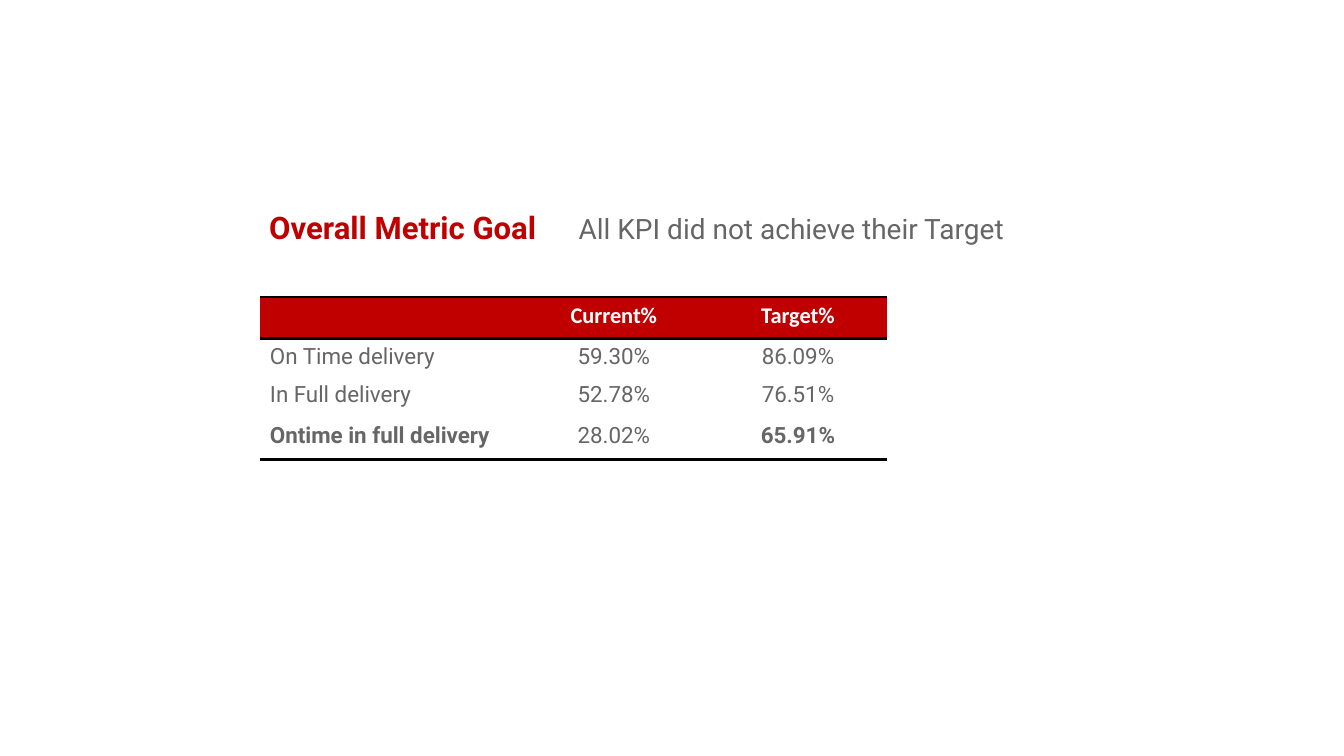
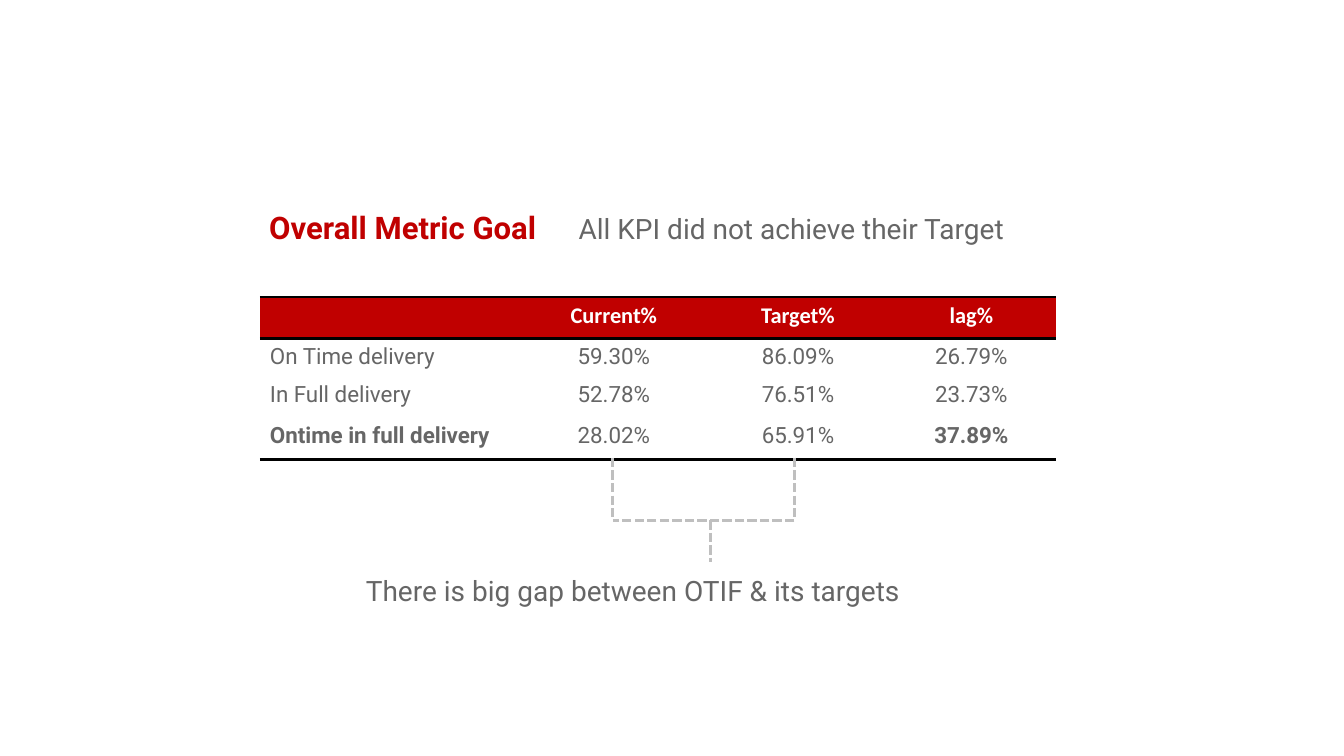
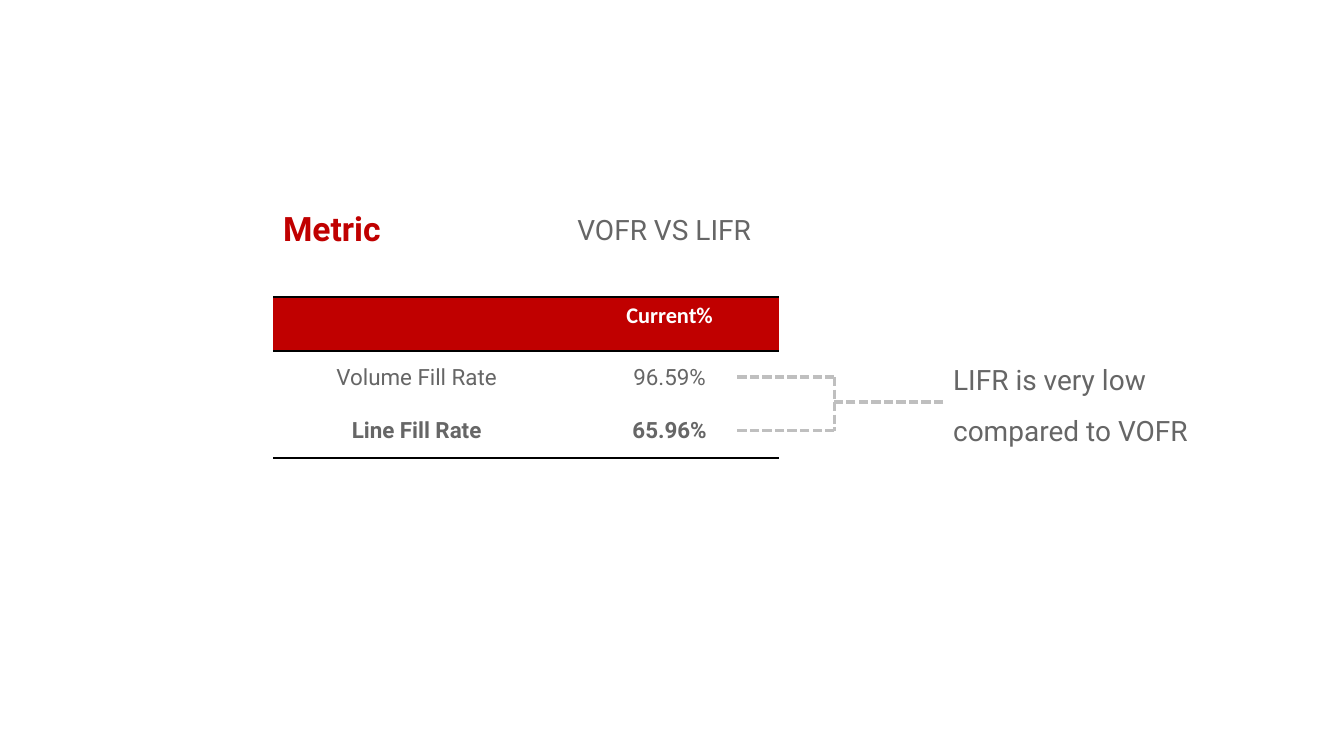
"""Build three slides that compare delivery metrics with their targets."""
from dataclasses import dataclass
from typing import Any

from lxml import etree
from pptx import Presentation
from pptx.dml.color import RGBColor
from pptx.enum.dml import MSO_LINE
from pptx.enum.shapes import MSO_CONNECTOR
from pptx.enum.text import MSO_ANCHOR, MSO_AUTO_SIZE, PP_ALIGN
from pptx.oxml.ns import qn
from pptx.util import Cm, Pt

LEFT, CENTER = PP_ALIGN.LEFT, PP_ALIGN.CENTER
TOP, MIDDLE = MSO_ANCHOR.TOP, MSO_ANCHOR.MIDDLE
NO_AUTOFIT = MSO_AUTO_SIZE.NONE
STRAIGHT = MSO_CONNECTOR.STRAIGHT
SHORT_DASH = MSO_LINE.SQUARE_DOT
TITLE_ONLY = 5
PLAIN_TABLE_STYLE = "{2D5ABB26-0587-4C30-8999-92F81FD0307C}"


@dataclass(frozen=True)
class Theme:
    """Colours, fonts and sizes shared by the slides."""
    accent: str = "C00000"
    body: str = "666666"
    header_text: str = "FFFFFF"
    rule: str = "000000"
    bracket: str = "BFBFBF"
    font: str = "Roboto"
    header_font: str = "Calibri"
    title_size: float = 22.2
    large_title_size: float = 24
    text_size: float = 20
    table_size: float = 16
    rule_width: float = 2
    bracket_width: float = 2.25


@dataclass(frozen=True)
class Label:
    """A piece of text with its box in centimetres."""
    text: str
    box: tuple[float, float, float, float]
    size: float
    line_spacing: float = 0.9


@dataclass(frozen=True)
class MetricTable:
    """A metric table with its grid in centimetres."""
    left: float
    columns: tuple[float, ...]
    heights: tuple[float, ...]
    rows: tuple[tuple[str, ...], ...]
    bold: tuple[str, ...]
    name_align: PP_ALIGN = LEFT
    body_anchor: MSO_ANCHOR = TOP


@dataclass(frozen=True)
class Segment:
    """A dashed bracket line in centimetres."""
    start_x: float
    start_y: float
    end_x: float
    end_y: float


@dataclass(frozen=True)
class MetricSlide:
    """Everything that one slide shows."""
    title: Label
    notes: tuple[Label, ...]
    table: MetricTable
    bracket: tuple[Segment, ...] = ()


THEME = Theme()
TABLE_TOP = 7.49


def apply(target: Any, values: dict[str, Any]) -> None:
    """Set each named attribute on the target."""
    for name, value in values.items():
        setattr(target, name, value)


def format_font(font: Any, name: str, size: float, color: str, bold: bool) -> None:
    """Give a font its face, size, weight and colour."""
    apply(font, {"name": name, "size": Pt(size), "bold": bold})
    font.color.rgb = RGBColor.from_string(color)


def write_label(shape: Any, label: Label, color: str, bold: bool) -> None:
    """Write a label into a title or a text box."""
    left, top, width, height = label.box
    apply(shape, {"left": Cm(left), "top": Cm(top),
                  "width": Cm(width), "height": Cm(height)})
    frame = shape.text_frame
    apply(frame, {"text": label.text, "word_wrap": True,
                  "auto_size": NO_AUTOFIT, "vertical_anchor": TOP})
    paragraph = frame.paragraphs[0]
    apply(paragraph, {"alignment": LEFT, "line_spacing": label.line_spacing})
    format_font(paragraph.runs[0].font, THEME.font, label.size, color, bold)


def add_rule(cell: Any, tag: str) -> None:
    """Draw one horizontal border of a cell."""
    line = etree.Element(qn(tag), w=str(Pt(THEME.rule_width)))
    fill = etree.SubElement(line, qn("a:solidFill"))
    etree.SubElement(fill, qn("a:srgbClr"), val=THEME.rule)
    cell._tc.get_or_add_tcPr().insert(0, line)


def draw_cell(cell: Any, metric: MetricTable, row: int, column: int) -> None:
    """Fill, write and rule one table cell."""
    is_header = row == 0
    text = metric.rows[row][column]
    cell.vertical_anchor = TOP if is_header else metric.body_anchor
    if is_header:
        cell.fill.solid()
        cell.fill.fore_color.rgb = RGBColor.from_string(THEME.accent)
    else:
        cell.fill.background()
    if text:
        cell.text = text
        paragraph = cell.text_frame.paragraphs[0]
        paragraph.alignment = CENTER if column else metric.name_align
        font_name = THEME.header_font if is_header else THEME.font
        color = THEME.header_text if is_header else THEME.body
        format_font(paragraph.runs[0].font, font_name, THEME.table_size, color,
                    is_header or text in metric.bold)
    if is_header or row == len(metric.rows) - 1:
        add_rule(cell, "a:lnB")
    if is_header:
        add_rule(cell, "a:lnT")


def draw_table(slide: Any, metric: MetricTable) -> None:
    """Add the metric table to a slide."""
    table = slide.shapes.add_table(
        len(metric.rows), len(metric.columns), Cm(metric.left), Cm(TABLE_TOP),
        Cm(sum(metric.columns)), Cm(sum(metric.heights))).table
    apply(table, {"first_row": False, "horz_banding": False})
    table._tbl.tblPr.find(qn("a:tableStyleId")).text = PLAIN_TABLE_STYLE
    for column, width in zip(table.columns, metric.columns):
        column.width = Cm(width)
    for row, height in zip(table.rows, metric.heights):
        row.height = Cm(height)
    for row in range(len(metric.rows)):
        for column in range(len(metric.columns)):
            draw_cell(table.cell(row, column), metric, row, column)


def draw_segment(slide: Any, segment: Segment) -> None:
    """Add one dashed line of a bracket."""
    connector = slide.shapes.add_connector(
        STRAIGHT, Cm(segment.start_x), Cm(segment.start_y),
        Cm(segment.end_x), Cm(segment.end_y))
    connector.line.color.rgb = RGBColor.from_string(THEME.bracket)
    apply(connector.line, {"width": Pt(THEME.bracket_width),
                           "dash_style": SHORT_DASH})
    etree.SubElement(connector._element.spPr, qn("a:effectLst"))


def draw_slide(presentation: Any, content: MetricSlide) -> None:
    """Add one slide with its title, table, notes and bracket."""
    slide = presentation.slides.add_slide(presentation.slide_layouts[TITLE_ONLY])
    write_label(slide.shapes.title, content.title, THEME.accent, True)
    draw_table(slide, content.table)
    for label in content.notes:
        box = slide.shapes.add_textbox(*(Cm(length) for length in label.box))
        write_label(box, label, THEME.body, False)
    for segment in content.bracket:
        draw_segment(slide, segment)


GOAL_TITLE = Label("Overall Metric Goal", (6.53, 5.23, 7.77, 1.22), THEME.title_size)
GOAL_NOTE = Label("All KPI did not achieve their Target",
                  (14.33, 5.31, 14.43, 1.04), THEME.text_size)
GOAL_LEFT = 6.55
GOAL_COLUMNS = (6.53, 4.78, 4.5)
GOAL_HEIGHTS = (1.04, 0.97, 1.04, 1.04)
GOAL_ROWS = (
    ("", "Current%", "Target%"),
    ("On Time delivery", "59.30%", "86.09%"),
    ("In Full delivery", "52.78%", "76.51%"),
    ("Ontime in full delivery", "28.02%", "65.91%"),
)
LAG_COLUMN = ("lag%", "26.79%", "23.73%", "37.89%")

SLIDES = (
    MetricSlide(
        GOAL_TITLE, (GOAL_NOTE,),
        MetricTable(GOAL_LEFT, GOAL_COLUMNS, GOAL_HEIGHTS, GOAL_ROWS,
                    ("Ontime in full delivery", "65.91%"))),
    MetricSlide(
        GOAL_TITLE,
        (GOAL_NOTE, Label("There is big gap between OTIF & its targets",
                          (8.97, 14.43, 16.08, 1.04), THEME.text_size)),
        MetricTable(GOAL_LEFT, GOAL_COLUMNS + (4.24,), GOAL_HEIGHTS,
                    tuple(row + (lag,) for row, lag in zip(GOAL_ROWS, LAG_COLUMN)),
                    ("Ontime in full delivery", "37.89%")),
        (Segment(15.44, 11.54, 15.44, 13.11), Segment(20.02, 11.54, 20.02, 13.11),
         Segment(20.02, 13.11, 15.44, 13.11), Segment(17.91, 13.11, 17.91, 14.17))),
    MetricSlide(
        Label("Metric", (6.88, 5.23, 6.12, 1.22), THEME.large_title_size),
        (Label("VOFR VS LIFR", (14.3, 5.23, 5.64, 1.12), THEME.text_size, 1.0),
         Label("LIFR is very low compared to VOFR",
               (23.77, 8.59, 7.09, 3.1), THEME.text_size, 1.5)),
        MetricTable(6.88, (7.24, 5.51), (1.35,) * 3,
                    (("", "Current%"), ("Volume Fill Rate", "96.59%"),
                     ("Line Fill Rate", "65.96%")),
                    ("Line Fill Rate", "65.96%"), CENTER, MIDDLE),
        (Segment(21.03, 9.5, 18.52, 9.5), Segment(23.77, 10.13, 20.93, 10.13),
         Segment(21.03, 9.5, 21.03, 10.85), Segment(21.03, 10.85, 18.52, 10.85))),
)


def main() -> None:
    """Build and save the presentation."""
    presentation = Presentation()
    apply(presentation, {"slide_width": Cm(33.87), "slide_height": Cm(19.05)})
    for content in SLIDES:
        draw_slide(presentation, content)
    presentation.save("out.pptx")


main()
